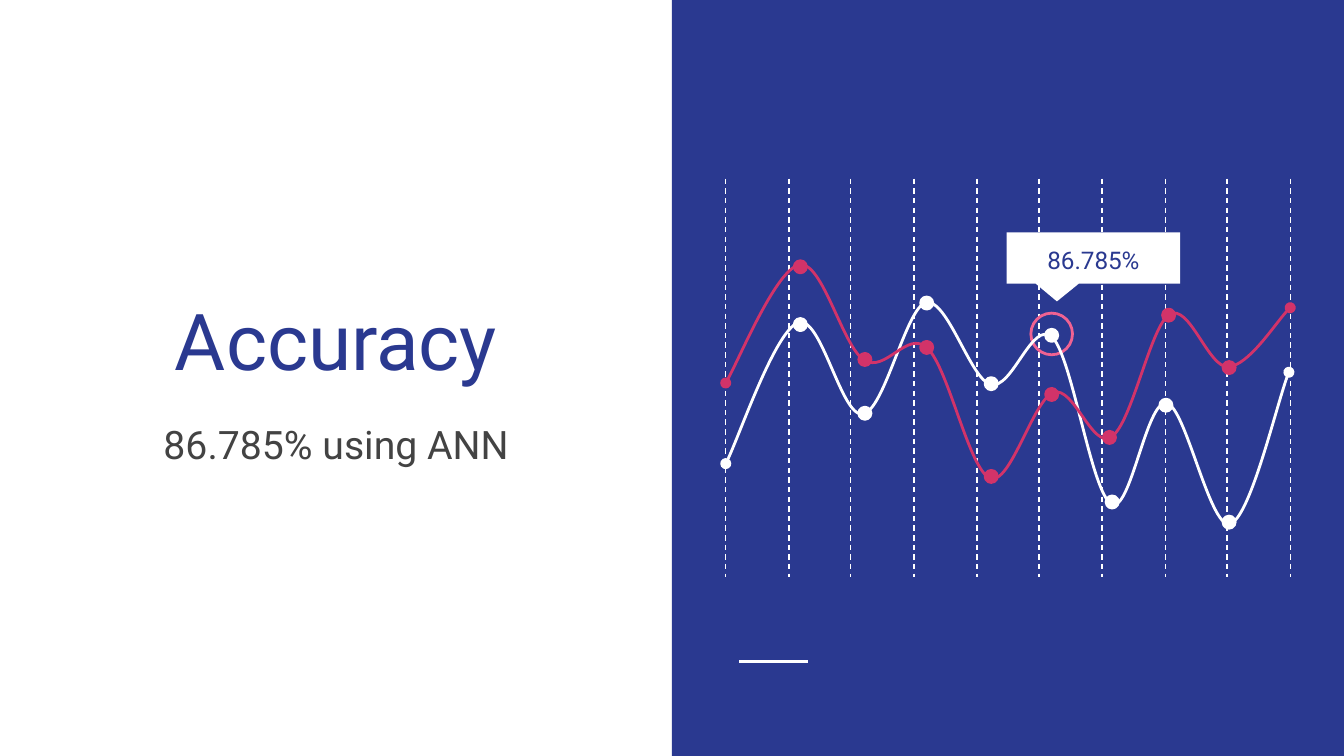
from lxml.etree import SubElement
from pptx import Presentation
from pptx.dml.color import RGBColor
from pptx.enum.dml import MSO_LINE
from pptx.enum.shapes import MSO_CONNECTOR, MSO_SHAPE
from pptx.enum.text import MSO_ANCHOR, PP_ALIGN
from pptx.oxml.ns import qn
from pptx.util import Pt

PX = 9144
HEX = {"white": "FFFFFF", "navy": "2A3990", "rose": "D23369", "pink": "F06292", "gray": "434343"}
RGB = {name: RGBColor.from_string(code) for name, code in HEX.items()}

deck = Presentation()
deck.slide_width, deck.slide_height = Pt(720), Pt(405)
slide = deck.slides.add_slide(deck.slide_layouts[6])
shapes = slide.shapes


def add_form(kind, box, fill=None, edge=None):
    form = shapes.add_shape(kind, *[n * PX for n in box])
    form.shadow.inherit = False
    if fill:
        form.fill.solid()
        form.fill.fore_color.rgb = RGB[fill]
    else:
        form.fill.background()
    if edge:
        form.line.color.rgb = RGB[edge]
        form.line.width = Pt(1.5)
    else:
        form.line.fill.background()
    return form


def add_text(words, box, size, color, anchor, space=1):
    frame = shapes.add_textbox(*[n * PX for n in box]).text_frame
    frame.word_wrap = True
    frame.vertical_anchor = anchor
    frame.margin_left = frame.margin_right = 10 * PX
    frame.margin_top = frame.margin_bottom = 10 * PX
    para = frame.paragraphs[0]
    para.alignment = PP_ALIGN.CENTER
    para.line_spacing = space
    run = para.add_run()
    run.text = words
    run.font.name = "Roboto"
    run.font.size = Pt(size)
    run.font.color.rgb = RGB[color]


panel = add_form(MSO_SHAPE.RECTANGLE, (500, 0, 500, 562), "navy")
panel.height = deck.slide_height

rules = [(550, 492, 601, 492, 1.5, None)]
for i in range(10):
    x = 540 + round(i * 420 / 9)
    rules.append((x, 133, x, 429, 0.75, MSO_LINE.DASH))
for *ends, width, dash in rules:
    rule = shapes.add_connector(MSO_CONNECTOR.STRAIGHT, *[n * PX for n in ends])
    rule.line.color.rgb = RGB["white"]
    rule.line.width = Pt(width)
    if dash:
        rule.line.dash_style = dash
    SubElement(rule._element.spPr, qn("a:effectLst"))

add_form(MSO_SHAPE.OVAL, (767, 233, 31, 31), edge="pink")
add_text("Accuracy", (29, 126, 442, 171), 42, "navy", MSO_ANCHOR.BOTTOM)
add_text("86.785% using ANN", (29, 303, 442, 139), 21, "gray", MSO_ANCHOR.TOP)

series = [
    ("white",
     [(540, 345), (549, 328), (577, 246), (594, 240), (611, 234), (626, 311), (642, 308),
      (658, 306), (674, 229), (689, 225), (705, 222), (722, 282), (737, 286),
      (753, 291), (768, 237), (783, 251), (798, 266), (812, 367), (827, 375),
      (841, 383), (853, 297), (868, 300), (882, 302), (900, 393), (915, 390),
      (930, 386), (951, 296), (959, 277)],
     [(591, 237), (639, 303), (685, 221), (733, 281), (778, 245), (823, 369),
      (863, 297), (910, 384)]),
    ("rose",
     [(540, 285), (549, 270), (578, 200), (595, 197), (612, 194), (627, 258), (643, 268),
      (659, 278), (675, 245), (690, 259), (706, 274), (721, 350), (737, 356),
      (752, 361), (769, 297), (784, 292), (799, 287), (813, 335), (827, 325),
      (842, 316), (856, 243), (870, 234), (885, 225), (899, 274), (914, 273),
      (929, 272), (952, 236), (960, 229)],
     [(591, 194), (639, 263), (685, 254), (733, 350), (778, 289), (821, 321),
      (865, 230), (910, 269)]),
]
for color, knots, dots in series:
    pen = shapes.build_freeform(*knots[0], scale=PX)
    pen.add_line_segments(knots[1:], close=False)
    curve = pen.convert_to_shape()
    curve.shadow.inherit = False
    curve.fill.background()
    curve.line.color.rgb = RGB[color]
    curve.line.width = Pt(1.5)
    for end in ("a:headEnd", "a:tailEnd"):
        SubElement(curve.line._get_or_add_ln(), qn(end), type="oval")
    track = curve._element.find(".//" + qn("a:path"))
    steps = track.findall(qn("a:lnTo"))
    for i in range(0, len(steps), 3):
        bend = SubElement(track, qn("a:cubicBezTo"))
        for step in steps[i:i + 3]:
            bend.append(step[0])
            track.remove(step)
    for x, y in dots:
        add_form(MSO_SHAPE.OVAL, (x, y, 9, 9), color, color)
    if color == "white":
        label = add_form(MSO_SHAPE.ROUNDED_RECTANGULAR_CALLOUT, (749, 173, 129, 38), "white")
        for i, value in enumerate((-0.21, 0.85, 0)):
            label.adjustments[i] = value

add_text("86.785%", (749, 176, 129, 31), 13, "navy", MSO_ANCHOR.MIDDLE, 1.15)

deck.save("out.pptx")
